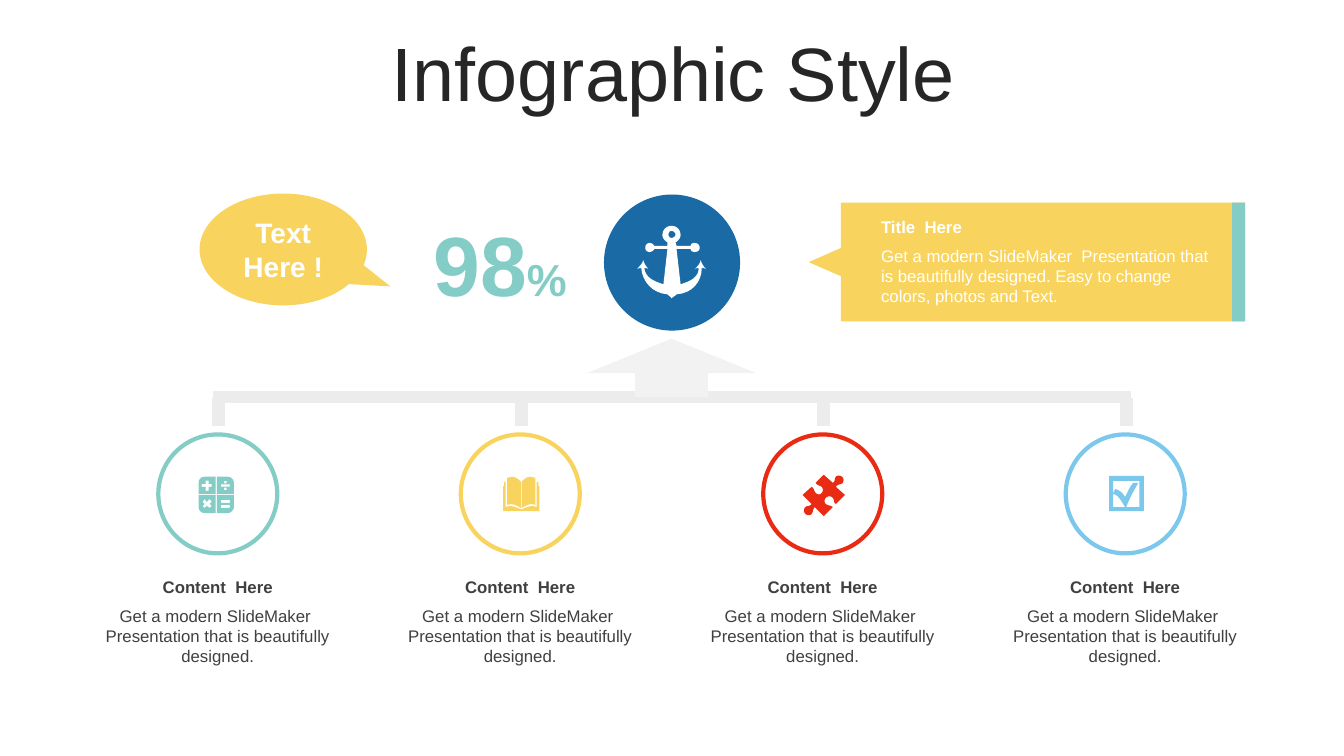
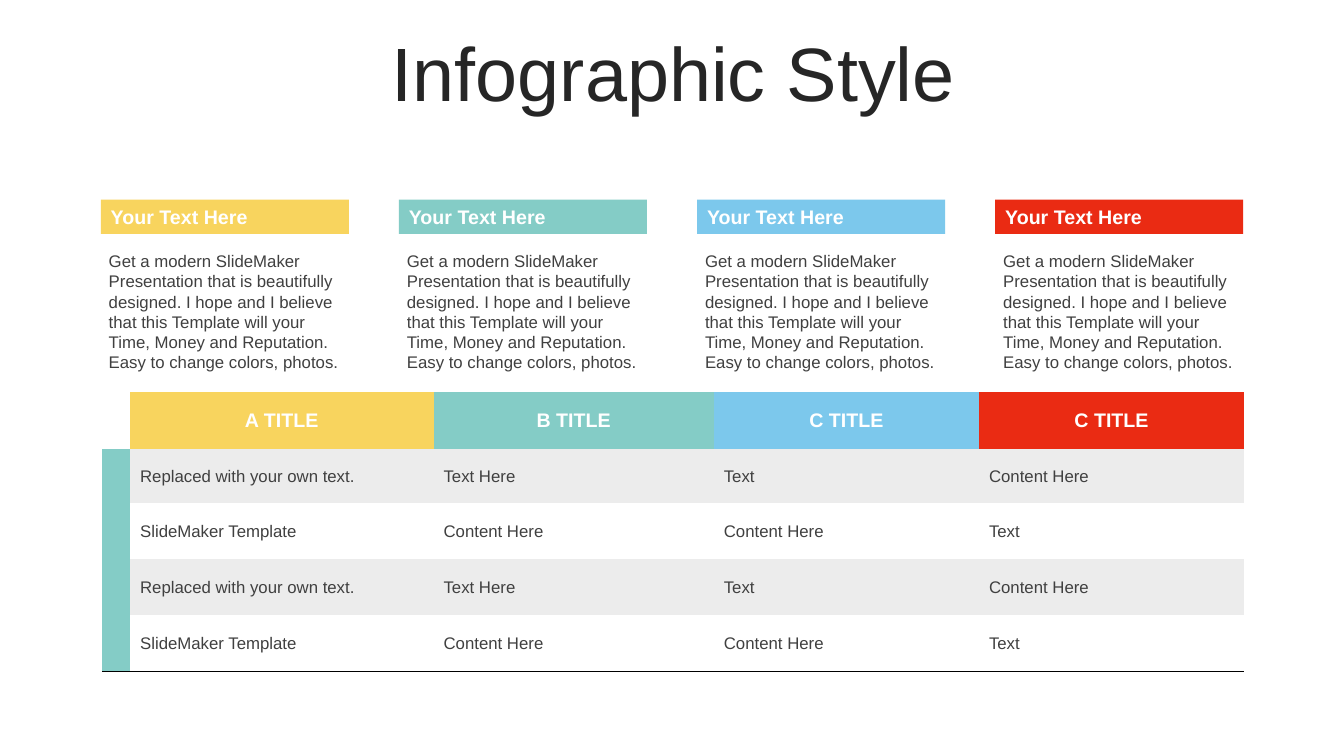
import pptx
import pptx.dml.color
import pptx.enum.shapes
import pptx.enum.text
import pptx.oxml
import pptx.oxml.ns
import pptx.util

# The slide is a grid of square cells, 133.3 columns by 75 rows.
CELL = pptx.util.Inches(0.1)
COLUMNS, ROWS = 133.3, 75
TEAL, YELLOW, RED, SKY, NAVY = "84CCC6", "F8D45E", "EA2B13", "7CC8EC", "1A6BA5"
WHITE, INK, TITLE_INK, PALE, GREY = "FFFFFF", "404040", "262626", "F2F2F2", "ECECEC"
FONT = "Arial"
DRAWING_NS = pptx.oxml.ns.nsdecls("a")

rgb = pptx.dml.color.RGBColor.from_string
SHAPE = pptx.enum.shapes.MSO_SHAPE
STRAIGHT = pptx.enum.shapes.MSO_CONNECTOR.STRAIGHT
ALIGN = pptx.enum.text.PP_ALIGN
MIDDLE = pptx.enum.text.MSO_ANCHOR.MIDDLE
TOP = pptx.enum.text.MSO_ANCHOR.TOP


def place(slide, kind, cells, fill=None):
    """Add a preset shape, or a text box if kind is None, at cells (left, top, width, height)."""
    box = [round(length * CELL) for length in cells]
    if kind is None:
        return slide.shapes.add_textbox(*box)
    shape = slide.shapes.add_shape(kind, *box)
    shape.shadow.inherit = False
    shape.line.fill.background()
    if fill:
        shape.fill.solid()
        shape.fill.fore_color.rgb = rgb(fill)
    else:
        shape.fill.background()
    return shape


def write(frame, text, size, colour, bold=False, align=ALIGN.LEFT, anchor=MIDDLE):
    frame.word_wrap = True
    frame.vertical_anchor = anchor
    paragraph = frame.paragraphs[0]
    paragraph.text = text
    paragraph.alignment = align
    paragraph.font.name = FONT
    paragraph.font.size = pptx.util.Pt(size)
    paragraph.font.bold = bold
    paragraph.font.color.rgb = rgb(colour)
    return paragraph


deck = pptx.Presentation()
deck.slide_width = round(COLUMNS * CELL)
deck.slide_height = round(ROWS * CELL)

slides = []
for _ in range(2):
    slide = deck.slides.add_slide(deck.slide_layouts[5])
    title = slide.shapes.title
    title.left, title.top, title.width, title.height = (
        round(length * CELL) for length in (3.5, 3.7, 126.6, 7.9))
    title.text_frame.auto_size = pptx.enum.text.MSO_AUTO_SIZE.NONE
    write(title.text_frame, "Infographic Style", 54, TITLE_INK, align=ALIGN.CENTER).line_spacing = 0.9
    slides.append(slide)
tree_slide, table_slide = slides

# Slide 1: four branches that lead up to one goal
branch_centres = [21.6 + 30 * branch for branch in range(4)]
for centre, colour in zip(branch_centres, (TEAL, YELLOW, RED, SKY)):
    ring = place(tree_slide, SHAPE.OVAL, (centre - 5.9, 43.1, 11.8, 11.8))
    ring.line.color.rgb = rgb(colour)
    ring.line.width = pptx.util.Pt(3)

drops = [(centre + 0.1, 39.5, centre + 0.1, 42.3, 9.5) for centre in branch_centres]
for *ends, width in [(21.1, 39.4, 112.2, 39.4, 9)] + drops:
    branch_line = tree_slide.shapes.add_connector(STRAIGHT, *(round(end * CELL) for end in ends))
    branch_line.line.color.rgb = rgb(GREY)
    branch_line.line.width = pptx.util.Pt(width)
    branch_line._element.spPr.append(pptx.oxml.parse_xml(f"<a:effectLst {DRAWING_NS}/>"))

up_arrow = place(tree_slide, SHAPE.UP_ARROW, (58.2, 33.6, 16.8, 5.8), PALE)
up_arrow.adjustments[0], up_arrow.adjustments[1] = 0.43, 0.59
place(tree_slide, SHAPE.OVAL, (59.9, 19.3, 13.5, 13.5), NAVY)

place(tree_slide, SHAPE.RECTANGLE, (83.4, 20.1, 40.1, 11.8), YELLOW)
place(tree_slide, SHAPE.ISOSCELES_TRIANGLE, (80.4, 24.4, 2.8, 3.2), YELLOW).rotation = 270
place(tree_slide, SHAPE.RECTANGLE, (122.2, 20.1, 1.3, 11.8), TEAL)

share = write(place(tree_slide, None, (39.1, 20.5, 18.1, 11.1)).text_frame,
              "98", 60, TEAL, True, ALIGN.RIGHT)
percent = share.add_run()
percent.text = "%"
percent.font.size = pptx.util.Pt(32)

callout = place(tree_slide, SHAPE.OVAL_CALLOUT, (19.8, 19.2, 16.6, 11.1), YELLOW)
callout.adjustments[0], callout.adjustments[1] = 0.64, 0.33
write(callout.text_frame, "Text Here !", 20, WHITE, True, ALIGN.CENTER)

captions = [(86.4, 21, 34.5, "Title  Here", "Get a modern SlideMaker  Presentation that is "
             "beautifully designed. Easy to change colors, photos and Text.", WHITE, ALIGN.LEFT)]
captions += [(centre - 12.3, 56.7, 24.6, "Content  Here", "Get a modern SlideMaker  Presentation "
              "that is beautifully designed.", INK, ALIGN.CENTER) for centre in branch_centres]
for left, top, width, heading, body, colour, align in captions:
    write(place(tree_slide, None, (left, top, width, 3)).text_frame,
          heading, 12, colour, True, align)
    write(place(tree_slide, None, (left, top + 2.9, width, 7.1)).text_frame,
          body, 12, colour, False, align, TOP)

# Outlines in tenths of a cell: M start, L lines, C cubic curves, Z close
calculator = """M 22 28 L 22 31 31 31 31 28 Z M 22 23 L 22 26 31 26 31 23 Z
    M 6 22 L 4 25 6 27 4 29 6 31 8 29 11 31 13 29 11 27 13 25 11 22 8 25 Z
    M 18 18.2 L 35 18.2 35 30 C 35 33 32 36 29 36 L 18 36 Z
    M 0 18.2 L 17 18.2 17 36 6 36 C 2 36 0 33 0 30 Z
    M 25.2 4.2 L 27.8 4.2 27.8 6.6 25.2 6.6 Z M 25.2 10.8 L 27.8 10.8 27.8 13.2 25.2 13.2 Z
    M 22 7.6 L 22 9.8 31 9.8 31 7.6 Z
    M 7 4 L 7 7 3 7 3 10 7 10 7 14 10 14 10 10 13 10 13 7 10 7 10 4 Z
    M 18 0 L 29 0 C 32 0 35 3 35 6 L 35 17.4 18 17.4 Z
    M 6 0 L 17 0 17 17.4 0 17.4 0 6 C 0 3 2 0 6 0"""
book = """M 17.6 31 C 13 28 8 26 4 28 L 4 1 C 6 1 8 0 9 0 C 12 0 15 2 17.6 5 Z
    M 18.4 31 C 23 28 28 26 32 28 L 32 1 C 30 1 28 0 27 0 C 24 0 21 2 18.4 5 Z
    M 0 9 L 1 9 1 5 2.6 5 2.6 30 C 8 28 12 30 17 32 L 19 32 C 24 30 28 28 33.4 30
    L 33.4 5 35 5 35 9 36 9 36 34 0 34"""
puzzle = """M 39 2 C 41 3 41 6 40 8 38 10 35 9 33 12 L 42 20 33 29
    C 30 27 32 24 29 22 27 21 25 21 23 23 22 24 21 27 23 29 26 31 27 30 30 32 L 21 41 12 32
    C 10 35 11 36 9 39 7 41 4 40 3 39 1 37 1 35 2 33 4 30 7 32 9 29 L 0 20 9 12
    C 12 14 11 16 13 18 15 20 18 20 19 18 20 17 21 14 19 12 16 10 15 11 13 8 L 21 0 30 8
    C 33 6 31 5 33 2 35 0 38 1 39 2"""
tick_box = """M 0 0 L 34.5 0 34.5 35 0 35 Z
    M 4 5 L 4 31 16 31 C 13 27 10 19 4 18 L 6 13 C 12 15 13 17 16 21 19 15 20 12 24 7
    L 29 7 C 25 14 20 23 17 31 L 30 31 30 5"""
anchor = """M 34 5 C 32 5 31 7 31 9 31 10 32 12 34 12 36 12 38 10 38 9 38 7 36 5 34 5 Z
    M 34 0 C 39 0 43 4 43 9 43 12 41 14 39 16 L 38 16 39 20 53 20
    C 53 18 55 17 57 17 60 17 62 19 62 22 62 24 60 26 57 26 55 26 53 25 53 23 L 39 23 43 58
    C 53 55 61 51 61 42 60 42 58 42 57 43 60 40 62 38 63 34 64 38 66 40 68 43 67 42 66 42 64 42
    64 55 55 67 39 68 37 70 36 70 34 72 33 70 32 70 30 68 15 67 5 55 4 42 3 42 1 42 0 43
    2 40 5 38 6 34 7 38 9 40 11 43 10 42 9 42 7 42 8 51 16 55 26 58 L 30 23 17 23
    C 16 25 14 26 12 26 10 26 8 24 8 22 8 19 10 17 12 17 14 17 16 18 17 20 L 30 20 30 16 29 16
    C 27 14 25 12 25 9 25 4 29 0 34 0"""
CURVE_STEPS = 8
UNITS = 100  # freeform units in a cell

for outline, left, top, colour in (
        (calculator, 19.7, 47.3, TEAL), (puzzle, 79.6, 47.1, RED), (book, 49.9, 47.3, YELLOW),
        (tick_box, 110, 47.2, SKY), (anchor, 63.2, 22.4, WHITE)):
    pen = None
    for contour in outline.split("Z"):
        points, pending, command = [], [], "M"
        for token in contour.split():
            if token in "MLC":
                command = token
                continue
            pending.append(float(token))
            if len(pending) < (6 if command == "C" else 2):
                continue
            if command == "C":
                corners = [points[-1], pending[:2], pending[2:4], pending[4:]]
                for step in range(1, CURVE_STEPS + 1):
                    t = step / CURVE_STEPS
                    weights = ((1 - t) ** 3, 3 * t * (1 - t) ** 2, 3 * t * t * (1 - t), t ** 3)
                    points.append([sum(w * corner[axis] for w, corner in zip(weights, corners))
                                   for axis in (0, 1)])
            else:
                points.append(pending)
            pending = []
        points = [((left + x / 10) * UNITS, (top + y / 10) * UNITS) for x, y in points]
        if pen:
            pen.move_to(*points[0])
        else:
            pen = tree_slide.shapes.build_freeform(*points[0], scale=CELL / UNITS)
        pen.add_line_segments(points[1:], close=True)
    icon = pen.convert_to_shape()
    icon.shadow.inherit = False
    icon.fill.solid()
    icon.fill.fore_color.rgb = rgb(colour)
    icon.line.fill.background()

# Slide 2: a table below four headed paragraphs
column_colours = (YELLOW, TEAL, SKY, RED)
column_widths = (2.8, 30.1, 27.8, 26.3, 26.3)
row_heights = (5.65, 5.4, 5.55, 5.55, 5.55)
odd_row = ("", "Replaced with your own text.", "Text Here", "Text", "Content Here")
even_row = ("", "SlideMaker Template", "Content Here", "Content Here", "Text")
rows = (("", "A TITLE", "B TITLE", "C TITLE", "C TITLE"), odd_row, even_row, odd_row, even_row)

table = table_slide.shapes.add_table(
    len(rows), len(column_widths),
    *(round(length * CELL) for length in (10.1, 38.9, sum(column_widths), sum(row_heights)))).table
table.first_row = table.horz_banding = False
NO_STYLE = "{2D5ABB26-0587-4C30-8999-92F81FD0307C}"
table._tbl.tblPr.find(pptx.oxml.ns.qn("a:tableStyleId")).text = NO_STYLE
for column, width in zip(table.columns, column_widths):
    column.width = round(width * CELL)
for row, height in zip(table.rows, row_heights):
    row.height = round(height * CELL)

for r, row in enumerate(rows):
    for c, text in enumerate(row):
        cell = table.cell(r, c)
        cell.vertical_anchor = MIDDLE
        cell.margin_top = cell.margin_bottom = round(0.7 * CELL)
        if r == 0:
            fill = column_colours[c - 1] if c else WHITE
        elif c == 0:
            fill = TEAL
        else:
            fill = GREY if r % 2 else None
        if fill:
            cell.fill.solid()
            cell.fill.fore_color.rgb = rgb(fill)
        else:
            cell.fill.background()
        if text:
            paragraph = cell.text_frame.paragraphs[0]
            paragraph.text = text
            paragraph.alignment = ALIGN.LEFT if r else ALIGN.CENTER
            paragraph.font.name = FONT
            paragraph.font.size = pptx.util.Pt(12 if r else 14)
            paragraph.font.bold = r == 0
            paragraph.font.color.rgb = rgb(INK if r else WHITE)
        if r == len(rows) - 1:
            cell._tc.get_or_add_tcPr().insert(0, pptx.oxml.parse_xml(
                f'<a:lnB {DRAWING_NS} w="12700"><a:solidFill><a:srgbClr val="000000"/>'
                '</a:solidFill></a:lnB>'))

for index, colour in enumerate(column_colours):
    left = 10 + 29.57 * index
    band = place(table_slide, SHAPE.RECTANGLE, (left, 19.8, 24.6, 3.4), colour)
    write(band.text_frame, "Your Text Here", 14, WHITE, True)
    write(place(table_slide, None, (left - 0.2, 24.4, 24.9, 13.1)).text_frame,
          "Get a modern SlideMaker  Presentation that is beautifully designed. I hope and I believe "
          "that this Template will your Time, Money and Reputation. Easy to change colors, photos.",
          12, INK, anchor=TOP)

deck.save("out.pptx")
